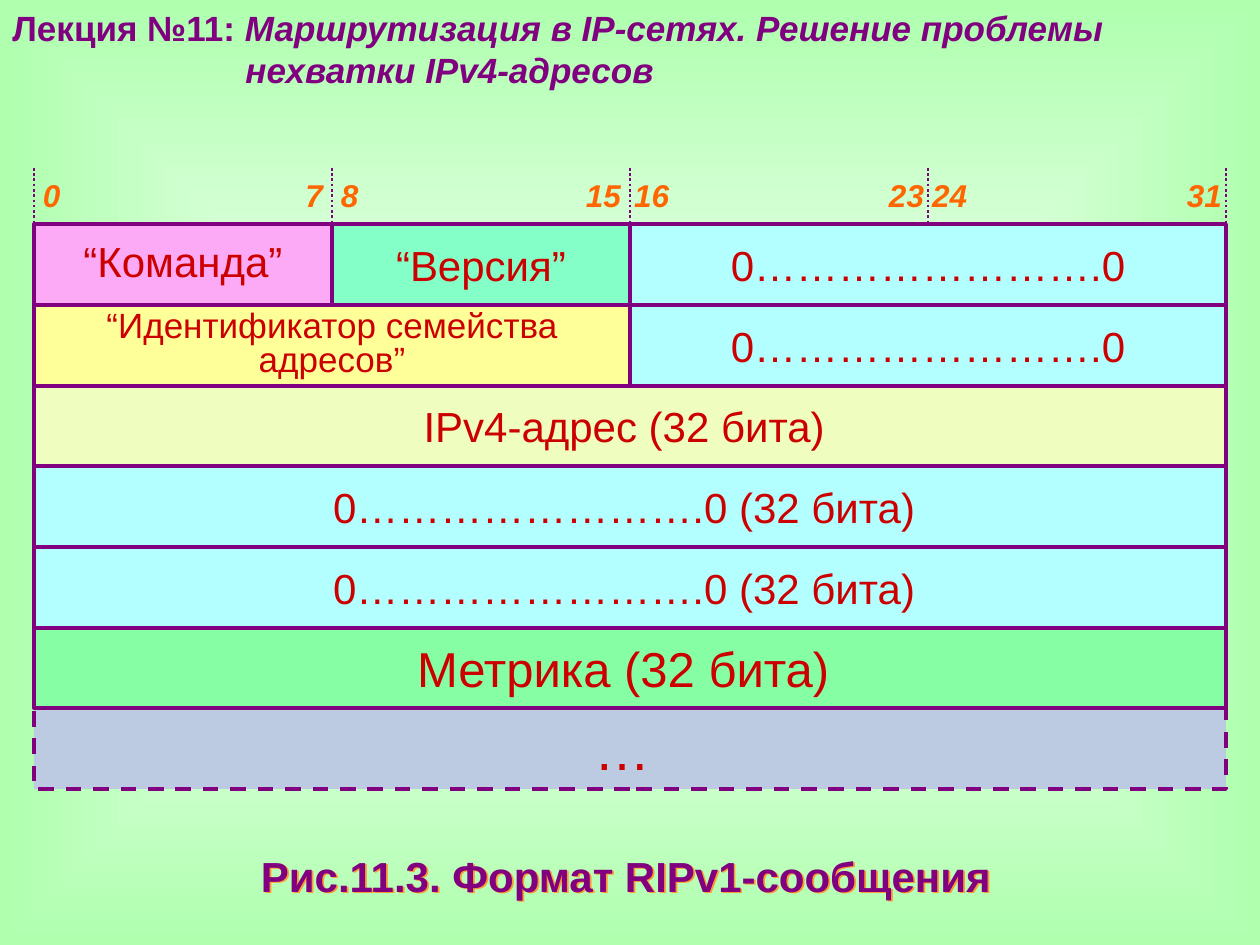
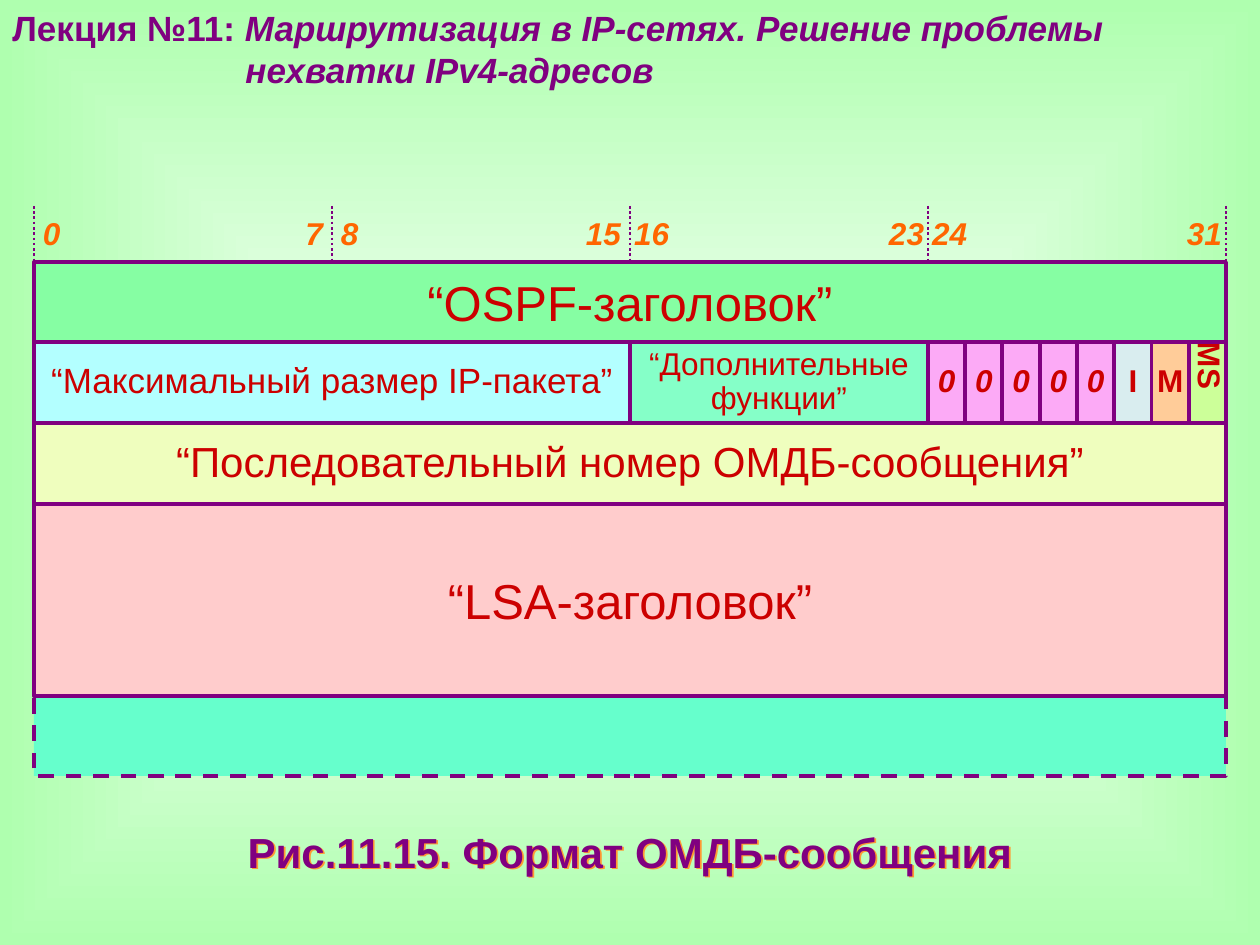
from dataclasses import dataclass

import pptx
import pptx.dml.color
import pptx.enum.dml
import pptx.enum.shapes
import pptx.enum.text
import pptx.oxml.ns
import pptx.util
from lxml import etree

RGB = pptx.dml.color.RGBColor
WHITE = RGB(0xFF, 0xFF, 0xFF)
MEADOW = RGB(0xAF, 0xFF, 0xAF)
PURPLE = RGB(0x80, 0x00, 0x80)
ORANGE = RGB(0xFF, 0x66, 0x00)
AMBER = RGB(0xFF, 0x99, 0x33)
RED = RGB(0xCC, 0x00, 0x00)
PINK = RGB(0xFC, 0xAA, 0xF6)
MINT = RGB(0x85, 0xFF, 0xC8)
CYAN = RGB(0xB3, 0xFF, 0xFF)
YELLOW = RGB(0xFF, 0xFF, 0x99)
CREAM = RGB(0xEF, 0xFE, 0xBE)
GREEN = RGB(0x86, 0xFE, 0xA3)
STEEL = RGB(0xBC, 0xCA, 0xE2)
ROSE = RGB(0xFF, 0xCC, 0xCC)
AQUA = RGB(0x66, 0xFF, 0xCC)
MIST = RGB(0xD9, 0xED, 0xEF)
PEACH = RGB(0xFF, 0xCC, 0x99)
LIME = RGB(0xCC, 0xFF, 0x99)

FONT = "Arial"
PX = 914400 / 126
FIELD_LEFT, BYTE_WIDTH = 34, 298
RULER_RISE, RULER_HEIGHT, LABEL_HEIGHT = 56, 75, 53
TITLE_INDENT = 233

LEFT = pptx.enum.text.PP_ALIGN.LEFT
CENTER = pptx.enum.text.PP_ALIGN.CENTER
DASH = pptx.enum.dml.MSO_LINE.DASH
DOTS = pptx.enum.dml.MSO_LINE.ROUND_DOT


@dataclass
class Field:
    bits: int
    text: str
    fill: RGB
    size: int = 24
    spacing: float = 1.0
    bold: bool = False
    italic: bool = False
    vertical: bool = False
    dashed: bool = False


def flag(text, fill, **style):
    return Field(1, text, fill, 18, 0.85, bold=True, **style)


LECTURE = "Лекция №11: "
TOPIC = ["Маршрутизация в IP-сетях. Решение проблемы", "нехватки IPv4-адресов"]
BYTES = [("0", "7", 9), ("8", "15", 9), ("16", "23", 4), ("24", "31", 4)]
ZEROS = "0…………………….0"

MESSAGES = [
    {
        "caption": "Рис.11.3. Формат RIPv1-сообщения",
        "caption_box": (40, 844, 1172, 63),
        "top": 224,
        "rows": [
            (81, [Field(8, "“Команда”", PINK, spacing=0.85),
                  Field(8, "“Версия”", MINT),
                  Field(16, ZEROS, CYAN)]),
            (81, [Field(16, "“Идентификатор семейства адресов”", YELLOW, 20, 0.8),
                  Field(16, ZEROS, CYAN)]),
            (80, [Field(32, "IPv4-адрес (32 бита) ", CREAM)]),
            (81, [Field(32, ZEROS + " (32 бита) ", CYAN)]),
            (81, [Field(32, ZEROS + " (32 бита) ", CYAN)]),
            (80, [Field(32, "Метрика (32 бита) ", GREEN, 28)]),
            (81, [Field(32, "… ", STEEL, 32, dashed=True)]),
        ],
    },
    {
        "caption": "Рис.11.15. Формат ОМДБ-сообщения",
        "caption_box": (0, 820, 1260, 63),
        "top": 262,
        "rows": [
            (80, [Field(32, "“OSPF-заголовок”", GREEN, 28)]),
            (81, [Field(16, "“Максимальный размер IP-пакета”", CYAN, 20, 0.85),
                  Field(8, "“Дополнительные функции”", MINT, 18, 0.9),
                  *[flag("0", PINK, italic=True)] * 5,
                  flag("I", MIST),
                  flag("M", PEACH),
                  flag("MS", LIME, vertical=True)]),
            (81, [Field(32, "“Последовательный номер ОМДБ-сообщения”", CREAM, spacing=0.9)]),
            (192, [Field(32, "“LSA-заголовок”", ROSE, 28)]),
            (80, [Field(32, "", AQUA, dashed=True)]),
        ],
    },
]


def emu(px):
    return pptx.util.Emu(round(px * PX))


def child(parent, tag, **attributes):
    values = {name: str(value) for name, value in attributes.items()}
    return etree.SubElement(parent, pptx.oxml.ns.qn(tag), values)


def add_run(paragraph, text, size, color, bold=False, italic=False):
    run = paragraph.add_run()
    run.text = text
    font = run.font
    font.name, font.size = FONT, pptx.util.Pt(size)
    font.bold, font.italic = bold, italic
    font.color.rgb = color


def add_box(slide, *box):
    textbox = slide.shapes.add_textbox(*map(emu, box))
    textbox.text_frame.word_wrap = True
    return textbox


def center_frame(frame, inset=0):
    frame.margin_top = frame.margin_right = frame.margin_bottom = 0
    frame.margin_left = emu(inset)
    frame.vertical_anchor = pptx.enum.text.MSO_ANCHOR.MIDDLE


def paint_background(master):
    fill = master.background.fill
    fill.gradient()
    for stop, color in zip(fill.gradient_stops, (WHITE, MEADOW)):
        stop.color.rgb = color
    linear = next(master.element.iter(pptx.oxml.ns.qn("a:lin")))
    gradient = linear.getparent()
    gradient.remove(linear)
    shade = child(gradient, "a:path", path="shape")
    child(shade, "a:fillToRect", l=50000, t=50000, r=50000, b=50000)


def add_title(slide):
    frame = add_box(slide, 0, 0, 1138, 97).text_frame
    first, second = frame.paragraphs[0], frame.add_paragraph()
    add_run(first, LECTURE, 20, PURPLE, bold=True)
    second._p.get_or_add_pPr().set("marL", str(emu(TITLE_INDENT)))
    for paragraph, line in zip((first, second), TOPIC):
        add_run(paragraph, line, 20, PURPLE, bold=True, italic=True)


def add_caption(slide, text, box):
    caption = add_box(slide, *box)
    paragraph = caption.text_frame.paragraphs[0]
    paragraph.alignment = CENTER
    add_run(paragraph, text, 24, PURPLE, bold=True)
    effects = child(caption.element.spPr, "a:effectLst")
    shadow = child(effects, "a:outerShdw", dist=17961, dir=2700000, algn="ctr", rotWithShape=0)
    child(shadow, "a:srgbClr", val=AMBER)


def add_ruler(slide, top):
    for index in range(len(BYTES) + 1):
        x = emu(FIELD_LEFT + index * BYTE_WIDTH)
        tick = slide.shapes.add_connector(
            pptx.enum.shapes.MSO_CONNECTOR.STRAIGHT, x, emu(top), x, emu(top + RULER_HEIGHT))
        tick.line.color.rgb = PURPLE
        tick.line.width = pptx.util.Pt(1.5)
        tick.line.dash_style = DOTS
        child(tick.element.spPr, "a:effectLst")
    for index, (first, last, inset) in enumerate(BYTES):
        left = FIELD_LEFT + index * BYTE_WIDTH
        frame = add_box(slide, left, top, BYTE_WIDTH, LABEL_HEIGHT).text_frame
        center_frame(frame, inset)
        paragraph = frame.paragraphs[0]
        paragraph.alignment = LEFT
        tabs = child(paragraph._p.get_or_add_pPr(), "a:tabLst")
        child(tabs, "a:tab", pos=emu(BYTE_WIDTH - 2 * inset), algn="r")
        add_run(paragraph, f"{first}\t{last}", 18, ORANGE, bold=True, italic=True)


def add_field(slide, field, *box):
    cell = slide.shapes.add_shape(pptx.enum.shapes.MSO_SHAPE.RECTANGLE, *map(emu, box))
    cell.shadow.inherit = False
    cell.fill.solid()
    cell.fill.fore_color.rgb = field.fill
    cell.line.color.rgb = PURPLE
    cell.line.width = pptx.util.Pt(2.25)
    if field.dashed:
        cell.line.dash_style = DASH
    if not field.text:
        return
    center_frame(cell.text_frame)
    if field.vertical:
        cell.element.txBody.bodyPr.set("vert", "eaVert")
    paragraph = cell.text_frame.paragraphs[0]
    paragraph.alignment = CENTER
    paragraph.line_spacing = field.spacing
    add_run(paragraph, field.text, field.size, RED, field.bold, field.italic)


def add_message(slide, top, rows):
    bottom = top + sum(height for height, _ in rows)
    for height, fields in reversed(rows):
        bottom -= height
        left = FIELD_LEFT
        for field in fields:
            width = field.bits * BYTE_WIDTH / 8
            add_field(slide, field, left, bottom, width, height)
            left += width


def main():
    deck = pptx.Presentation()
    deck.slide_width, deck.slide_height = emu(1260), emu(945)
    paint_background(deck.slide_master)
    for message in MESSAGES:
        slide = deck.slides.add_slide(deck.slide_layouts[6])
        add_title(slide)
        add_caption(slide, message["caption"], message["caption_box"])
        add_ruler(slide, message["top"] - RULER_RISE)
        add_message(slide, message["top"], message["rows"])
    deck.save("out.pptx")


if __name__ == "__main__":
    main()
